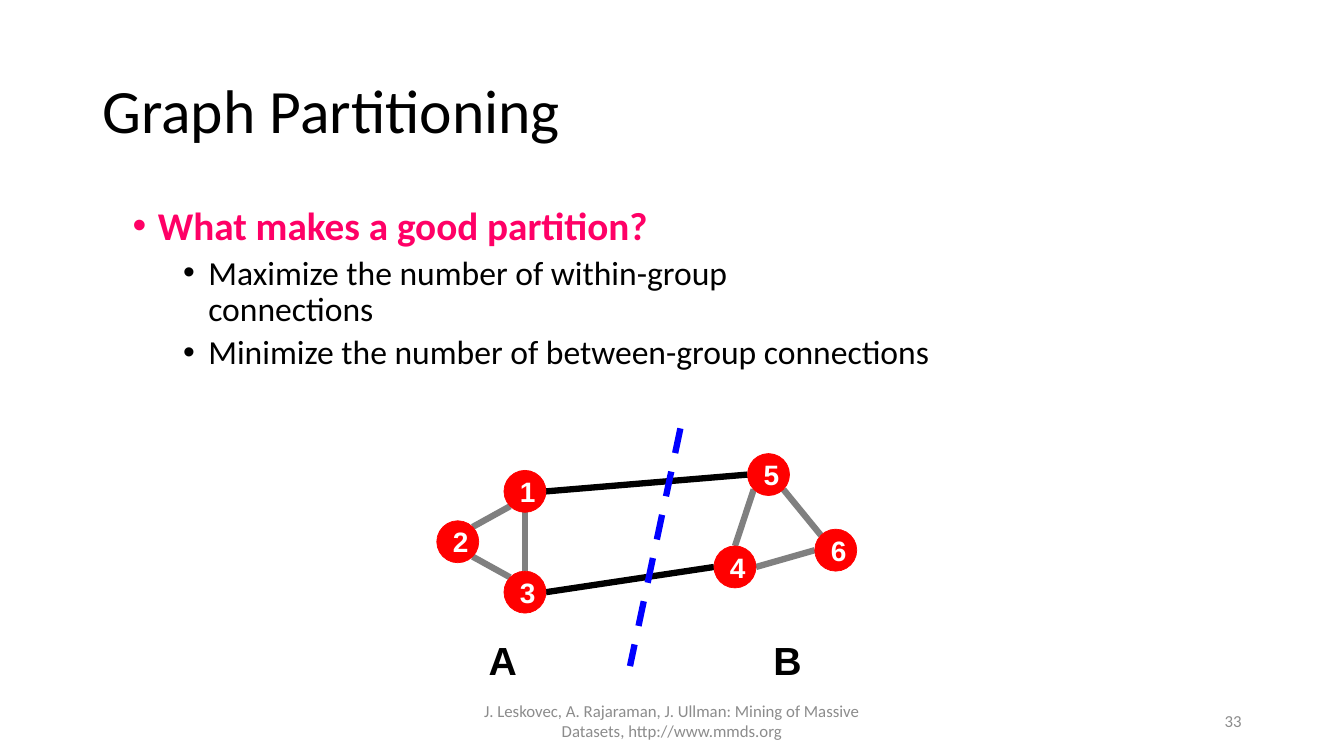
from math import cos, radians, sin

from lxml.etree import SubElement
from pptx import Presentation
from pptx.dml.color import RGBColor
from pptx.enum.dml import MSO_LINE
from pptx.enum.shapes import MSO_CONNECTOR, MSO_SHAPE
from pptx.enum.text import MSO_ANCHOR, MSO_AUTO_SIZE, PP_ALIGN
from pptx.oxml.ns import qn
from pptx.util import Inches, Pt

BLACK = RGBColor(0x00, 0x00, 0x00)
WHITE = RGBColor(0xFF, 0xFF, 0xFF)
GRAY = RGBColor(0x80, 0x80, 0x80)
FOOTER_GRAY = RGBColor(0x8C, 0x8C, 0x8C)
RED = RGBColor(0xFF, 0x00, 0x00)
BLUE = RGBColor(0x00, 0x00, 0xFF)
PINK = RGBColor(0xFF, 0x00, 0x66)

COLUMNS, ROWS = 160, 90
CELL = Inches(7.5) / ROWS
NODE_SIZE = 5

NODES = {"1": (8, 5), "2": (0, 11), "3": (8, 17),
         "4": (33, 14), "5": (37, 3), "6": (45, 12)}
EDGES = [("1", 135, "2", 315, GRAY), ("2", 45, "3", 225, GRAY),
         ("1", 90, "3", 270, GRAY), ("1", 0, "5", 180, BLACK),
         ("3", 0, "4", 180, BLACK), ("5", 45, "6", 225, GRAY),
         ("4", 0, "6", 180, GRAY), ("5", 135, "4", 270, GRAY)]
GROUPS = {"A": (5, 24.1), "B": (38.9, 24.1)}
CUT = ((29, 0), (23, 28.3))

BULLETS = [
    (0, ["What makes a good partition?"], 28, PINK, True, 0.25, 10),
    (1, ["Maximize the number of within-group ", "connections"], 24, BLACK, False, 0.75, 5),
    (1, ["Minimize the number of between-group connections"], 24, BLACK, False, 0.75, 5),
]


def cells(*counts):
    """Turn counts of grid cells into lengths."""
    return [int(count * CELL) for count in counts]


def place(shape, box):
    """Move a placeholder into a box of grid cells."""
    shape.left, shape.top, shape.width, shape.height = cells(*box)


def add_run(paragraph, text, size, color, font="Calibri", bold=False):
    """Append one formatted run to a paragraph."""
    run = paragraph.add_run()
    run.text = text
    run.font.name = font
    run.font.size = Pt(size)
    run.font.bold = bold
    run.font.color.rgb = color


def set_bullet(paragraph, indent):
    """Give a paragraph a round bullet with a hanging indent."""
    properties = paragraph._p.get_or_add_pPr()
    properties.set("marL", str(Inches(indent)))
    properties.set("indent", str(Inches(-0.25)))
    SubElement(properties, qn("a:buFont")).set("typeface", "Arial")
    SubElement(properties, qn("a:buChar")).set("char", "•")


def fill_title(title, box):
    """Write the slide title."""
    place(title, box)
    frame = title.text_frame
    frame.auto_size = MSO_AUTO_SIZE.NONE
    frame.vertical_anchor = MSO_ANCHOR.MIDDLE
    paragraph = frame.paragraphs[0]
    paragraph.alignment = PP_ALIGN.LEFT
    paragraph.line_spacing = 0.9
    add_run(paragraph, "Graph Partitioning", 44, BLACK)


def fill_body(body, box):
    """Write the bulleted list."""
    place(body, box)
    frame = body.text_frame
    frame.auto_size = MSO_AUTO_SIZE.NONE
    for index, (level, lines, size, color, bold, indent, before) in enumerate(BULLETS):
        paragraph = frame.add_paragraph() if index else frame.paragraphs[0]
        paragraph.level = level
        paragraph.line_spacing = 0.9
        paragraph.space_before = Pt(before)
        set_bullet(paragraph, indent)
        for number, line in enumerate(lines):
            if number:
                paragraph.add_line_break()
            add_run(paragraph, line, size, color, bold=bold)


def add_footer(slide, box, text, alignment):
    """Add a small gray footer text."""
    frame = slide.shapes.add_textbox(*cells(*box)).text_frame
    frame.word_wrap = True
    frame.vertical_anchor = MSO_ANCHOR.MIDDLE
    paragraph = frame.paragraphs[0]
    paragraph.alignment = alignment
    add_run(paragraph, text, 12, FOOTER_GRAY)


def add_line(slide, start, end, color):
    """Draw a thick straight line between two grid points."""
    connector = slide.shapes.add_connector(MSO_CONNECTOR.STRAIGHT, *cells(*start, *end))
    connector.line.color.rgb = color
    connector.line.width = Pt(4.5)
    SubElement(connector._element.spPr, qn("a:effectLst"))
    return connector


def add_node(slide, left, top, name):
    """Draw one numbered graph node."""
    node = slide.shapes.add_shape(MSO_SHAPE.OVAL, *cells(left, top, NODE_SIZE, NODE_SIZE))
    node.shadow.inherit = False
    node.fill.solid()
    node.fill.fore_color.rgb = RED
    node.line.color.rgb = RED
    node.line.width = Pt(0.5)
    paragraph = node.text_frame.paragraphs[0]
    paragraph.alignment = PP_ALIGN.CENTER
    add_run(paragraph, name, 20, WHITE, "Arial", True)


def add_graph(slide, left, top):
    """Draw the partitioned graph from its top left corner."""
    def rim(name, angle):
        """Find the point on a node's rim at an angle."""
        column, row = NODES[name]
        radius = NODE_SIZE / 2
        return (left + column + radius * (1 + cos(radians(angle))),
                top + row + radius * (1 + sin(radians(angle))))

    for first, first_angle, second, second_angle, color in EDGES:
        add_line(slide, rim(first, first_angle), rim(second, second_angle), color)
    for name, (column, row) in NODES.items():
        add_node(slide, left + column, top + row, name)
    start, end = [(left + column, top + row) for column, row in CUT]
    add_line(slide, start, end, BLUE).line.dash_style = MSO_LINE.DASH
    for name, (column, row) in GROUPS.items():
        label = slide.shapes.add_textbox(*cells(left + column, top + row, 5.9, 6.8))
        label.text_frame.word_wrap = False
        label.text_frame.auto_size = MSO_AUTO_SIZE.SHAPE_TO_FIT_TEXT
        add_run(label.text_frame.paragraphs[0], name, 28, BLACK, "Arial", True)


def main():
    """Build the slide and save it."""
    presentation = Presentation()
    presentation.slide_width, presentation.slide_height = cells(COLUMNS, ROWS)
    slide = presentation.slides.add_slide(presentation.slide_layouts[1])
    fill_title(slide.shapes.title, (11, 4.8, 138, 17.4))
    fill_body(slide.placeholders[1], (14.6, 24, 134.3, 24))
    add_footer(slide, (53, 83.4, 54, 4.8),
               "J. Leskovec, A. Rajaraman, J. Ullman: Mining of Massive Datasets, "
               "http://www.mmds.org", PP_ALIGN.CENTER)
    add_footer(slide, (113, 83.4, 36, 4.8), "33", PP_ALIGN.RIGHT)
    add_graph(slide, 52, 51)
    presentation.save("out.pptx")


if __name__ == "__main__":
    main()
